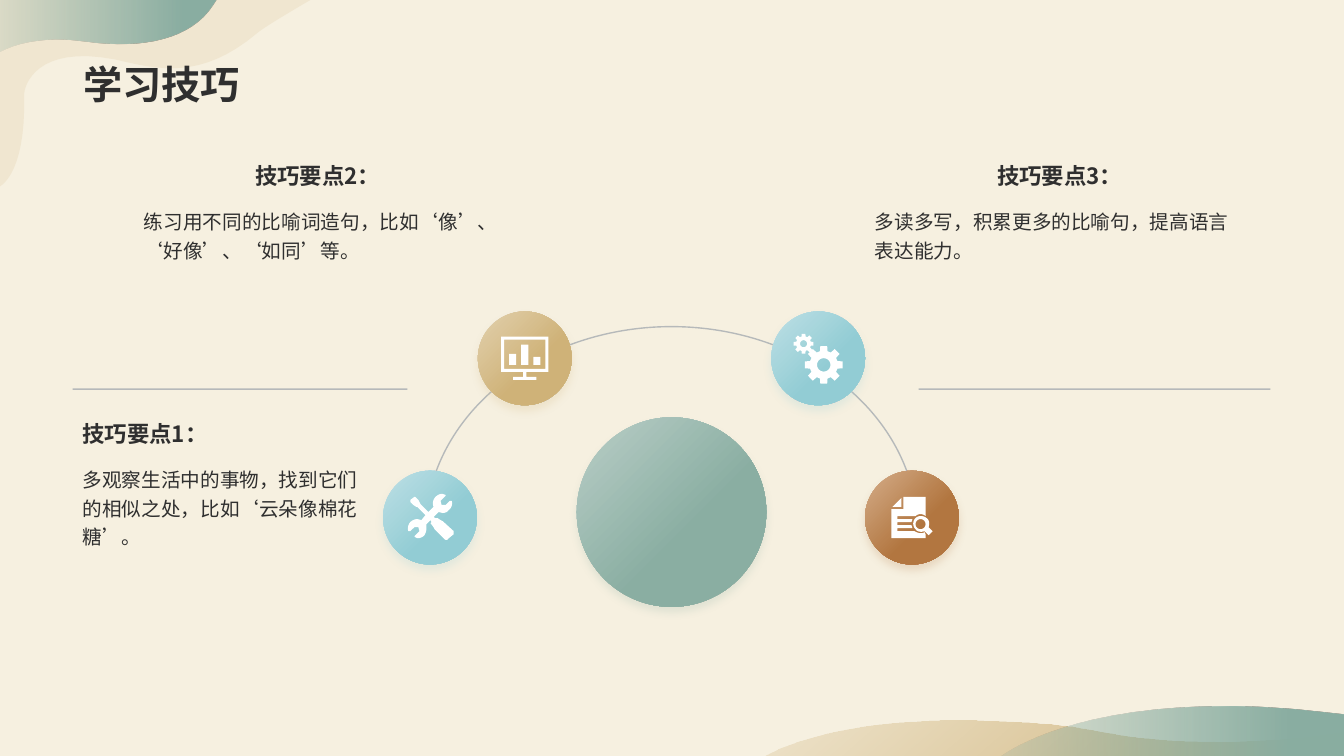
import math

from lxml import etree
from pptx import Presentation
from pptx.dml.color import RGBColor
from pptx.enum.shapes import MSO_CONNECTOR, MSO_SHAPE
from pptx.enum.text import MSO_ANCHOR, MSO_AUTO_SIZE, PP_ALIGN
from pptx.oxml.ns import qn
from pptx.util import Pt

STRAIGHT = MSO_CONNECTOR.STRAIGHT
ELLIPSE, ARC = MSO_SHAPE.OVAL, MSO_SHAPE.ARC
TOP, BOTTOM = MSO_ANCHOR.TOP, MSO_ANCHOR.BOTTOM
LEFT, CENTER = PP_ALIGN.LEFT, PP_ALIGN.CENTER
GROW = MSO_AUTO_SIZE.SHAPE_TO_FIT_TEXT

CREAM = RGBColor(0xF6, 0xF0, 0xE0)
INK = RGBColor(0x2F, 0x2F, 0x2F)
SLATE = RGBColor(0x77, 0x84, 0x95)
WHITE = RGBColor(0xFF, 0xFF, 0xFF)
GREEN, PALE_GREEN = RGBColor(0x8A, 0xAE, 0xA2), RGBColor(0xB9, 0xCE, 0xC7)
BLUE, PALE_BLUE = RGBColor(0x92, 0xCC, 0xD4), RGBColor(0xBE, 0xE0, 0xE5)
GOLD, PALE_GOLD = RGBColor(0xCF, 0xB2, 0x78), RGBColor(0xE2, 0xD1, 0xAE)
BROWN, PALE_BROWN = RGBColor(0xB2, 0x76, 0x40), RGBColor(0xD4, 0xAD, 0x89)

# Outlines: a pair is a corner, six numbers are a Bezier curve.
GOLD_WAVE = [(956, 715), (989, 715, 1038, 717, 1070, 722), (1103, 727, 1179, 746, 1319, 728),
             (1333, 726), (1333, 750), (757, 750), (765, 745, 823, 714, 956, 715)]
GREEN_WAVE = [(1219, 701), (1247, 701, 1279, 703, 1313, 707), (1333, 709), (1333, 750),
              (993, 750), (1003, 743, 1068, 700, 1219, 701)]
CORNER_GOLD = [(-2, 186), (-2, 186, 26, 177, 24, 94), (24, 85, 36, 44, 114, 59),
               (157, 69, 199, 80, 255, 33), (263, 26, 308, 0, 308, 0), (0, 0)]
CORNER_GREEN = [(-1, 0), (215, 0), (211, 6), (190, 38, 143, 49, 85, 41),
                (42, 35, 14, 44, 1, 51), (-1, 52)]
TOOLS = [(450, 527), (439, 517), (437, 516), (434, 514), (432, 514), (430, 513), (435, 508),
         (439, 509), (441, 509, 444, 508, 445, 506), (448, 504, 449, 500, 448, 497),
         (446, 497), (442, 501), (438, 501), (437, 497), (442, 492), (442, 491), (439, 490),
         (436, 490, 434, 491, 432, 493), (429, 496, 429, 500, 430, 503), (425, 508),
         (417, 500), (415, 496), (412, 493), (411, 493), (407, 496), (407, 498), (410, 501),
         (413, 503), (414, 503), (422, 511), (418, 516), (414, 515),
         (412, 515, 409, 516, 407, 518), (405, 520, 404, 524, 405, 527), (407, 527),
         (411, 523), (415, 523), (416, 527), (411, 532), (412, 533), (414, 534),
         (417, 534, 419, 533, 421, 531), (422, 529, 423, 527, 423, 524), (423, 520),
         (427, 516), (428, 518), (427, 519), (430, 523), (431, 525), (441, 535),
         (442, 536, 444, 536, 444, 535), (450, 530)]
PAGE = [(896, 493), (918, 493), (918, 512), (917, 511, 915, 510, 913, 510),
        (911, 510, 909, 511, 908, 512), (890, 512), (890, 515), (905, 515), (904, 518),
        (890, 518), (890, 521), (904, 521), (905, 524), (890, 524), (890, 527), (907, 527),
        (909, 528, 911, 529, 913, 529), (914, 529, 915, 529, 917, 528), (918, 530),
        (918, 534), (884, 534), (884, 505), (896, 505)]
MAGNIFIER = [(913, 512), (916, 512, 918, 513, 919, 514), (922, 516, 922, 520, 921, 523),
             (925, 527), (921, 531), (917, 527), (914, 528, 910, 528, 908, 525),
             (905, 522, 905, 517, 908, 514), (909, 513, 911, 512, 913, 512)]


def box(left, top, right, bottom):
    return [(left, top), (right, top), (right, bottom), (left, bottom)]


def ring(x, y, radius, count=24):
    return [(x + radius * math.cos(math.tau * i / count),
             y + radius * math.sin(math.tau * i / count)) for i in range(count)]


def gear(x, y, radius):
    """Return the outlines of an eight-toothed wheel and its hole."""
    corners = [(-0.27, 0.74), (-0.18, 1), (0.18, 1), (0.27, 0.74)]
    teeth = [(x + radius * reach * math.cos(tooth * math.tau / 8 + turn),
              y + radius * reach * math.sin(tooth * math.tau / 8 + turn))
             for tooth in range(8) for turn, reach in corners]
    return [teeth, ring(x, y, radius * 0.35)]


def flatten(outline, steps=16):
    """Turn the curves of an outline into short straight pieces."""
    points = []
    for node in outline:
        if len(node) == 2:
            points.append(node)
            continue
        controls = [points[-1], node[:2], node[2:4], node[4:]]
        for step in range(1, steps + 1):
            t = step / steps
            weights = ((1 - t) ** 3, 3 * t * (1 - t) ** 2, 3 * t * t * (1 - t), t ** 3)
            points.append(tuple(sum(w * c[axis] for w, c in zip(weights, controls))
                                for axis in (0, 1)))
    return points


SCREEN = [box(497, 334, 544, 369), box(500, 337, 541, 366), box(505, 351, 512, 362),
          box(517, 342, 524, 362), box(529, 354, 536, 362),
          [(519, 369), (522, 369), (522, 374), (532, 374), (532, 377), (509, 377),
           (509, 374), (519, 374)]]
REPORT = [PAGE, [(894, 494), (894, 503), (885, 503)], MAGNIFIER, ring(913, 520, 5)]


class SlideBuilder:
    SCALE = 9144
    FONT = "Noto Sans CJK SC"

    def __init__(self, width, height):
        self.presentation = Presentation()
        self.presentation.slide_width, self.presentation.slide_height = self.emu(width, height)
        self.slide = self.presentation.slides.add_slide(self.presentation.slide_layouts[6])
        self.slide.background.fill.solid()
        self.slide.background.fill.fore_color.rgb = CREAM
        self.shapes = self.slide.shapes

    def emu(self, *lengths):
        return [round(length * self.SCALE) for length in lengths]

    def opacity(self, color, percent):
        etree.SubElement(color, qn("a:alpha"), val=str(percent * 1000))

    def solid(self, shape, color, percent=100):
        shape.fill.solid()
        shape.fill.fore_color.rgb = color
        if percent < 100:
            self.opacity(shape.fill._xPr.find(".//" + qn("a:srgbClr")), percent)

    def gradient(self, shape, start, end, stop, angle, percent=100):
        """Blend start into end, reached at stop; percent is the opacity of start."""
        shape.fill.gradient()
        shape.fill.gradient_angle = -angle % 360
        for mark, color, position in zip(shape.fill.gradient_stops, (start, end), (0, stop)):
            mark.color.rgb, mark.position = color, position
        if percent < 100:
            self.opacity(shape._element.spPr.find(".//" + qn("a:srgbClr")), percent)

    def outline(self, outlines, shapes=None):
        loops = [[self.emu(*point) for point in flatten(loop)] for loop in outlines]
        builder = (shapes or self.shapes).build_freeform(*loops[0][0], scale=1.0)
        for index, loop in enumerate(loops):
            if index:
                builder.move_to(*loop[0])
            builder.add_line_segments(loop[1:], close=True)
        shape = builder.convert_to_shape()
        shape.shadow.inherit = False
        shape.line.fill.background()
        return shape

    def disc(self, left, top, size, pale, color, shapes=None):
        shape = (shapes or self.shapes).add_shape(ELLIPSE, *self.emu(left, top, size, size))
        shape.line.fill.background()
        self.gradient(shape, pale, color, 0.6, 45)
        shape.shadow.inherit = False
        shadow = etree.SubElement(shape._element.spPr.find(qn("a:effectLst")),
                                  qn("a:outerShdw"), blurRad=str(Pt(6)), dist=str(Pt(4)),
                                  dir="5400000", algn="t", rotWithShape="0")
        self.opacity(etree.SubElement(shadow, qn("a:srgbClr"), val=str(color)), 20)

    def badge(self, left, top, pale, color, icon):
        group = self.shapes.add_group_shape()
        self.disc(left, top, 93, pale, color, group.shapes)
        self.solid(self.outline(icon, group.shapes), WHITE)

    def stroke(self, shape):
        shape.line.color.rgb, shape.line.width = SLATE, Pt(1)
        self.opacity(shape._element.spPr.find(qn("a:ln")).find(".//" + qn("a:srgbClr")), 50)

    def arc(self, left, top, width, height, start, end):
        shape = self.shapes.add_shape(ARC, *self.emu(left, top, width, height))
        shape.adjustments[0], shape.adjustments[1] = start, end
        shape.shadow.inherit = False
        shape.fill.background()
        self.stroke(shape)

    def rule(self, left, right, y):
        line = self.shapes.add_connector(STRAIGHT, *self.emu(left, y, right, y))
        self.stroke(line)
        etree.SubElement(line._element.spPr, qn("a:effectLst"))

    def text(self, text, left, top, width, height, *, size, bold=False, align=LEFT,
             anchor=TOP, spacing=1.0, grow=True):
        frame = self.shapes.add_textbox(*self.emu(left, top, width, height)).text_frame
        frame.word_wrap, frame.vertical_anchor = True, anchor
        if grow:
            frame.auto_size = GROW
        paragraph = frame.paragraphs[0]
        paragraph.alignment, paragraph.line_spacing = align, spacing
        run = paragraph.add_run()
        run.text = text
        run.font.size, run.font.bold, run.font.name = Pt(size), bold, self.FONT
        run.font.color.rgb = INK
        properties = run._r.get_or_add_rPr()
        properties.set("lang", "zh-CN")
        etree.SubElement(properties, qn("a:ea"), typeface=self.FONT)

    def tip(self, heading, body, left, top, width, align=CENTER):
        self.text(heading, left, top, width, 37, size=16, bold=True, align=align, anchor=BOTTOM)
        self.text(body, left, top + 44, width, 38, size=14, spacing=1.2)


def main():
    builder = SlideBuilder(1333, 750)
    builder.gradient(builder.outline([GOLD_WAVE]), GOLD, GOLD, 1, 50, 20)
    builder.gradient(builder.outline([GREEN_WAVE]), GREEN, GREEN, 0.85, 0, 20)
    builder.solid(builder.outline([CORNER_GOLD]), GOLD, 15)
    builder.gradient(builder.outline([CORNER_GREEN]), GREEN, GREEN, 0.85, 0, 20)

    builder.disc(572, 414, 188, PALE_GREEN, GREEN)
    builder.arc(422, 324, 488, 405, 108, 0.206)
    builder.rule(72, 404, 386)
    builder.rule(911, 1260, 386)
    builder.badge(380, 467, PALE_BLUE, BLUE, [TOOLS])
    builder.badge(474, 309, PALE_GOLD, GOLD, SCREEN)
    builder.badge(765, 309, PALE_BLUE, BLUE, gear(817, 362, 19) + gear(797, 341, 10))
    builder.badge(858, 467, PALE_BROWN, BROWN, REPORT)

    builder.tip("技巧要点2：", "练习用不同的比喻词造句，比如‘像’、‘好像’、‘如同’等。", 133, 155, 364)
    builder.tip("技巧要点3：", "多读多写，积累更多的比喻句，提高语言表达能力。", 858, 155, 386)
    builder.tip("技巧要点1：", "多观察生活中的事物，找到它们的相似之处，比如‘云朵像棉花糖’。",
                72, 411, 309, align=LEFT)
    builder.text("学习技巧", 73, 0, 1187, 112, size=28, bold=True, anchor=BOTTOM,
                 spacing=0.9, grow=False)
    builder.presentation.save("out.pptx")


if __name__ == "__main__":
    main()
